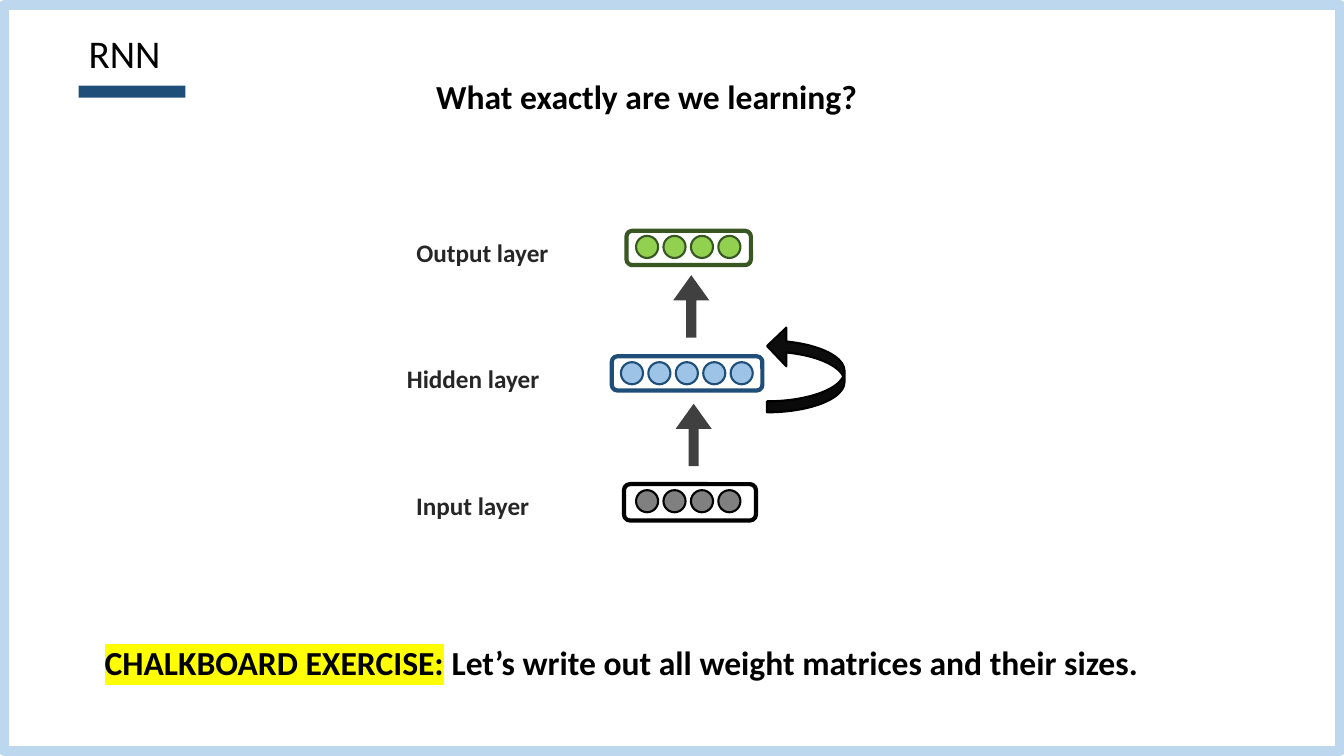
from lxml.etree import SubElement
from pptx import Presentation
from pptx.dml.color import RGBColor
from pptx.enum.shapes import MSO_SHAPE as Shape
from pptx.enum.text import PP_ALIGN as Align
from pptx.oxml.ns import qn
from pptx.util import Pt

BLACK = RGBColor(0x00, 0x00, 0x00)
WHITE = RGBColor(0xFF, 0xFF, 0xFF)
FRAME_BLUE = RGBColor(0xBD, 0xD7, 0xEE)
NAVY = RGBColor(0x1F, 0x4E, 0x79)
SKY = RGBColor(0x9D, 0xC3, 0xE6)
GREEN = RGBColor(0x92, 0xD0, 0x50)
DARK_GREEN = RGBColor(0x38, 0x57, 0x23)
GRAY = RGBColor(0x80, 0x80, 0x80)
ARROW_GRAY = RGBColor(0x40, 0x40, 0x40)
LABEL_GRAY = RGBColor(0x26, 0x26, 0x26)
LOOP_BLACK = RGBColor(0x0D, 0x0D, 0x0D)

UNIT_SIZE = 15.8
UNIT_STEP = 19.6


def add_figure(slide, kind, bounds, fill=None, line=None, weight=1.5,
               rotation=0, adjustments=()):
    """Add a preset shape; without a fill or line colour that part is empty."""
    figure = slide.shapes.add_shape(kind, *map(Pt, bounds))
    figure.shadow.inherit = False
    figure.rotation = rotation
    for index, value in enumerate(adjustments):
        figure.adjustments[index] = value
    if fill is None:
        figure.fill.background()
    else:
        figure.fill.solid()
        figure.fill.fore_color.rgb = fill
    if line is None:
        figure.line.fill.background()
    else:
        figure.line.color.rgb = line
        figure.line.width = Pt(weight)


def add_text(slide, bounds, parts, size, color=BLACK, bold=True,
             align=Align.LEFT, spacing=1.2):
    """Add one paragraph with a run for each part; return its runs."""
    box = slide.shapes.add_textbox(*map(Pt, bounds))
    box.text_frame.word_wrap = True
    para = box.text_frame.paragraphs[0]
    para.alignment = align
    para.line_spacing = spacing
    for part in parts:
        span = para.add_run()
        span.text = part
        span.font.size = Pt(size)
        span.font.bold = bold
        span.font.color.rgb = color
        span.font.name = "Calibri"
    return para.runs


def highlight(span, color):
    properties = span.font._element
    mark = SubElement(properties, qn("a:highlight"))
    SubElement(mark, qn("a:srgbClr"), val=color)
    properties.find(qn("a:solidFill")).addnext(mark)


def add_layer(slide, label, label_bounds, box_bounds, first_unit, count, fill, line):
    add_text(slide, label_bounds, [label], 18, LABEL_GRAY, align=Align.RIGHT)
    add_figure(slide, Shape.ROUNDED_RECTANGLE, box_bounds, line=line, weight=3)
    left, top = first_unit
    for index in range(count):
        bounds = (left + index * UNIT_STEP, top, UNIT_SIZE, UNIT_SIZE)
        add_figure(slide, Shape.OVAL, bounds, fill, line)


def add_up_arrow(slide, left, top):
    add_figure(slide, Shape.RIGHT_ARROW, (left, top, 44.6, 25.9), ARROW_GRAY,
               rotation=270, adjustments=(0.276, 0.696))


def main():
    deck = Presentation()
    deck.slide_width, deck.slide_height = Pt(960), Pt(540)
    slide = deck.slides.add_slide(deck.slide_layouts[6])

    add_figure(slide, Shape.RECTANGLE, (3, 3.5, 954, 533), WHITE, FRAME_BLUE, 7)
    add_text(slide, (56.2, 20.9, 99.4, 43.2), ["RNN"], 28, bold=False, spacing=0.9)
    add_figure(slide, Shape.RECTANGLE, (56.2, 61.2, 76.3, 8.6), NAVY)
    add_text(slide, (231.1, 44.6, 461.5, 51.1), ["What exactly are we learning?"],
             24, align=Align.CENTER)

    add_layer(slide, "Output layer", (263.5, 162, 135.4, 37.4),
              (447.5, 164.9, 88.9, 24.5), (454.3, 168.5), 4, GREEN, DARK_GREEN)
    add_layer(slide, "Hidden layer", (255.6, 251.3, 136.8, 37.4),
              (437, 254.5, 107.6, 24.5), (443.5, 258.7), 5, SKY, NAVY)
    add_layer(slide, "Input layer", (265, 342.7, 120.2, 37.4),
              (445.7, 345.8, 94.3, 26), (454.3, 350.1), 4, GRAY, BLACK)

    add_up_arrow(slide, 471.5, 205.9)
    add_up_arrow(slide, 473.2, 297.7)
    add_figure(slide, Shape.CURVED_UP_ARROW, (545, 236.2, 61.2, 55.4), LOOP_BLACK,
               BLACK, rotation=270, adjustments=(0.142, 0.5, 0.25))

    exercise = add_text(
        slide, (67.7, 449.3, 838, 40.3),
        ["CHALKBOARD EXERCISE:",
         " Let’s write out all weight matrices and their sizes."], 24)
    highlight(exercise[0], "FFFF00")

    deck.save("out.pptx")


if __name__ == "__main__":
    main()
